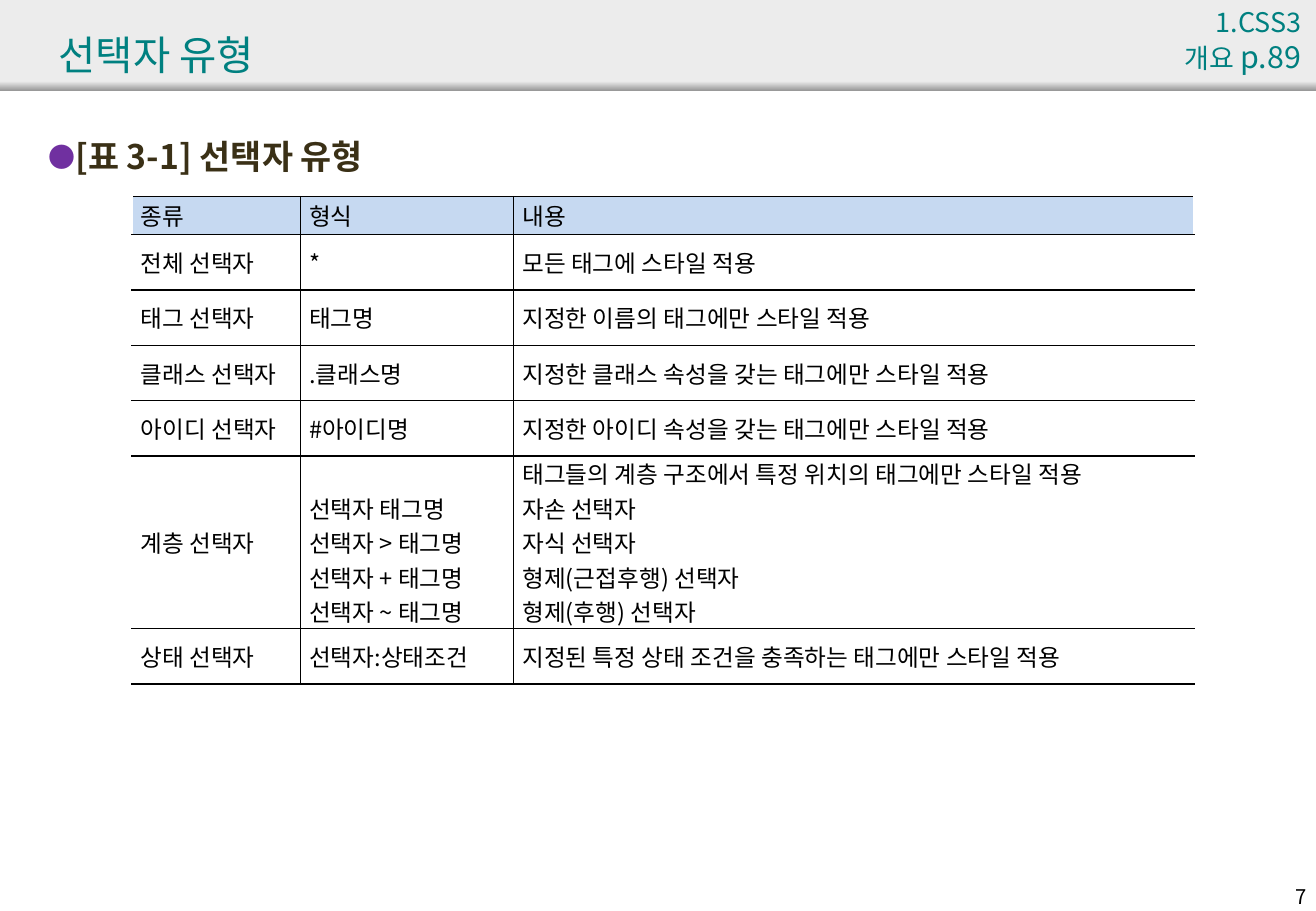
from pptx import Presentation
from pptx.dml.color import RGBColor
from pptx.enum.shapes import MSO_SHAPE
from pptx.enum.text import MSO_ANCHOR, MSO_AUTO_SIZE, PP_ALIGN
from pptx.oxml.ns import qn
from pptx.util import Cm, Pt
from lxml.etree import SubElement

COLORS = {
    "teal": "008080", "brown": "3A3016", "purple": "7030A0", "black": "000000",
    "header": "C6D9F1", "band": "ECECEC", "edge": "979797",
}
ROWS = [
    ("종류", "형식", "내용"),
    ("전체 선택자", "*", "모든 태그에 스타일 적용"),
    ("태그 선택자", "태그명", "지정한 이름의 태그에만 스타일 적용"),
    ("클래스 선택자", ".클래스명", "지정한 클래스 속성을 갖는 태그에만 스타일 적용"),
    ("아이디 선택자", "#아이디명", "지정한 아이디 속성을 갖는 태그에만 스타일 적용"),
    ("계층 선택자",
     "선택자 태그명\n선택자 > 태그명\n선택자 + 태그명\n선택자 ~ 태그명",
     "태그들의 계층 구조에서 특정 위치의 태그에만 스타일 적용\n자손 선택자\n"
     "자식 선택자\n형제(근접후행) 선택자\n형제(후행) 선택자"),
    ("상태 선택자", "선택자:상태조건", "지정된 특정 상태 조건을 충족하는 태그에만 스타일 적용"),
]
COL_WIDTHS = (3.52, 4.46, 14.22)
ROW_HEIGHTS = (0.79, 1.16, 1.16, 1.16, 1.16, 3.56, 1.16)


def rgb(name):
    """Return the named colour."""
    return RGBColor.from_string(COLORS[name])


def apply(obj, **values):
    """Set each given attribute on the object."""
    for key, value in values.items():
        setattr(obj, key, value)


class SlideBuilder:
    """Hold the style and the current slide."""

    font = "Noto Sans CJK KR"

    def __init__(self, prs):
        """Add a slide with title and body placeholders."""
        self.s = prs.slides.add_slide(prs.slide_layouts[1])

    def run(self, p, text, size, color="black", bold=False):
        """Add a formatted run to a paragraph."""
        r = p.add_run()
        r.text = text
        apply(r.font, name=self.font, size=Pt(size), bold=bold)
        r.font.color.rgb = rgb(color)
        SubElement(r._r.get_or_add_rPr(), qn("a:ea"), typeface=self.font)

    def bar(self, top, height, *colors):
        """Draw a full-width bar, shaded downwards when given two colours."""
        sp = self.s.shapes.add_shape(
            MSO_SHAPE.RECTANGLE, 0, Cm(top), Cm(27.51), Cm(height))
        sp.shadow.inherit = False
        sp.line.fill.background()
        if len(colors) == 1:
            sp.fill.solid()
            sp.fill.fore_color.rgb = rgb(colors[0])
            return
        sp.fill.gradient()
        sp.fill.gradient_angle = 270
        for stop, color in zip(sp.fill.gradient_stops, colors):
            stop.color.rgb = rgb(color)

    def placeholder(self, idx, box, text, size, color, bold, anchor):
        """Place and fill a placeholder in front of the bars."""
        sp = self.s.placeholders[idx]
        self.s.shapes._spTree.append(sp._element)
        apply(sp, **dict(zip(("left", "top", "width", "height"), map(Cm, box))))
        tf = sp.text_frame
        apply(tf, auto_size=MSO_AUTO_SIZE.NONE, vertical_anchor=anchor)
        p = tf.paragraphs[0]
        p.alignment = PP_ALIGN.LEFT
        self.run(p, text, size, color, bold)
        return p

    def title(self, text):
        """Fill the title."""
        self.placeholder(0, (0.97, 0.33, 25.2, 1.6), text, 24, "teal", False,
                         MSO_ANCHOR.MIDDLE)

    def bullet(self, text):
        """Fill the body with one bulleted heading."""
        p = self.placeholder(1, (0.76, 2.72, 26.21, 15.8), text, 20, "brown", True,
                             MSO_ANCHOR.TOP)
        p.space_before = Pt(4)
        pPr = p._p.get_or_add_pPr()
        pPr.set("marL", str(Cm(0.5)))
        pPr.set("indent", str(-Cm(0.5)))
        SubElement(SubElement(pPr, qn("a:buClr")), qn("a:srgbClr"), val=COLORS["purple"])
        SubElement(pPr, qn("a:buSzPct"), val="80000")
        SubElement(pPr, qn("a:buFont"), typeface=self.font)
        SubElement(pPr, qn("a:buChar"), char="●")

    def label(self, box, *lines):
        """Add a right-aligned text box; each line is a list of run arguments."""
        tf = self.s.shapes.add_textbox(*map(Cm, box)).text_frame
        tf.word_wrap = True
        p = tf.paragraphs[0]
        p.alignment = PP_ALIGN.RIGHT
        for i, line in enumerate(lines):
            if i:
                p.add_line_break()
            for args in line:
                self.run(p, *args)

    def borders(self, cell, sides):
        """Draw thin black borders on the given cell sides."""
        tcPr = cell._tc.get_or_add_tcPr()
        for side in sides:
            ln = SubElement(tcPr, qn(f"a:ln{side}"), w=str(Pt(1)))
            SubElement(SubElement(ln, qn("a:solidFill")), qn("a:srgbClr"),
                       val=COLORS["black"])

    def cell(self, cell, text, sides, header, anchor):
        """Format and fill one table cell."""
        apply(cell, margin_left=Cm(0.18), margin_right=Cm(0.18), margin_top=0,
              margin_bottom=0, vertical_anchor=anchor)
        self.borders(cell, sides)
        if header:
            cell.fill.solid()
            cell.fill.fore_color.rgb = rgb("header")
        else:
            cell.fill.background()
        tf = cell.text_frame
        for i, line in enumerate(text.split("\n")):
            p = tf.add_paragraph() if i else tf.paragraphs[0]
            p.alignment = PP_ALIGN.JUSTIFY
            self.run(p, line, 14)

    def table(self, left, top, rows, widths, heights):
        """Add a ruled table that is open at its left and right edges."""
        table = self.s.shapes.add_table(
            len(rows), len(widths), Cm(left), Cm(top),
            Cm(sum(widths)), Cm(sum(heights))).table
        apply(table, first_row=False, horz_banding=False)
        for column, width in zip(table.columns, widths):
            column.width = Cm(width)
        for i, (row, height) in enumerate(zip(rows, heights)):
            table.rows[i].height = Cm(height)
            for j, text in enumerate(row):
                sides = ("RTB", "LRTB", "LTB")[j]
                low = j == 1 and "\n" in text
                anchor = MSO_ANCHOR.BOTTOM if low else MSO_ANCHOR.MIDDLE
                self.cell(table.cell(i, j), text, sides, i == 0, anchor)


def main():
    """Build and save the selector slide."""
    prs = Presentation()
    apply(prs, slide_width=Cm(27.51), slide_height=Cm(19.05))
    b = SlideBuilder(prs)
    b.bar(0, 1.9, "band")
    b.bar(1.7, 0.2, "band", "edge")
    b.label((26.16, 18.36, 1.4, 0.76), [("7", 12)])
    b.title("선택자 유형")
    b.bullet("[표 3-1] 선택자 유형")
    b.table(2.76, 4.11, ROWS, COL_WIDTHS, ROW_HEIGHTS)
    b.label((23.95, 0, 3.5, 1.02), [("1.CSS3", 16, "teal")],
            [("개요 ", 16, "teal"), ("p.89", 18, "teal")])
    prs.save("out.pptx")


if __name__ == "__main__":
    main()
